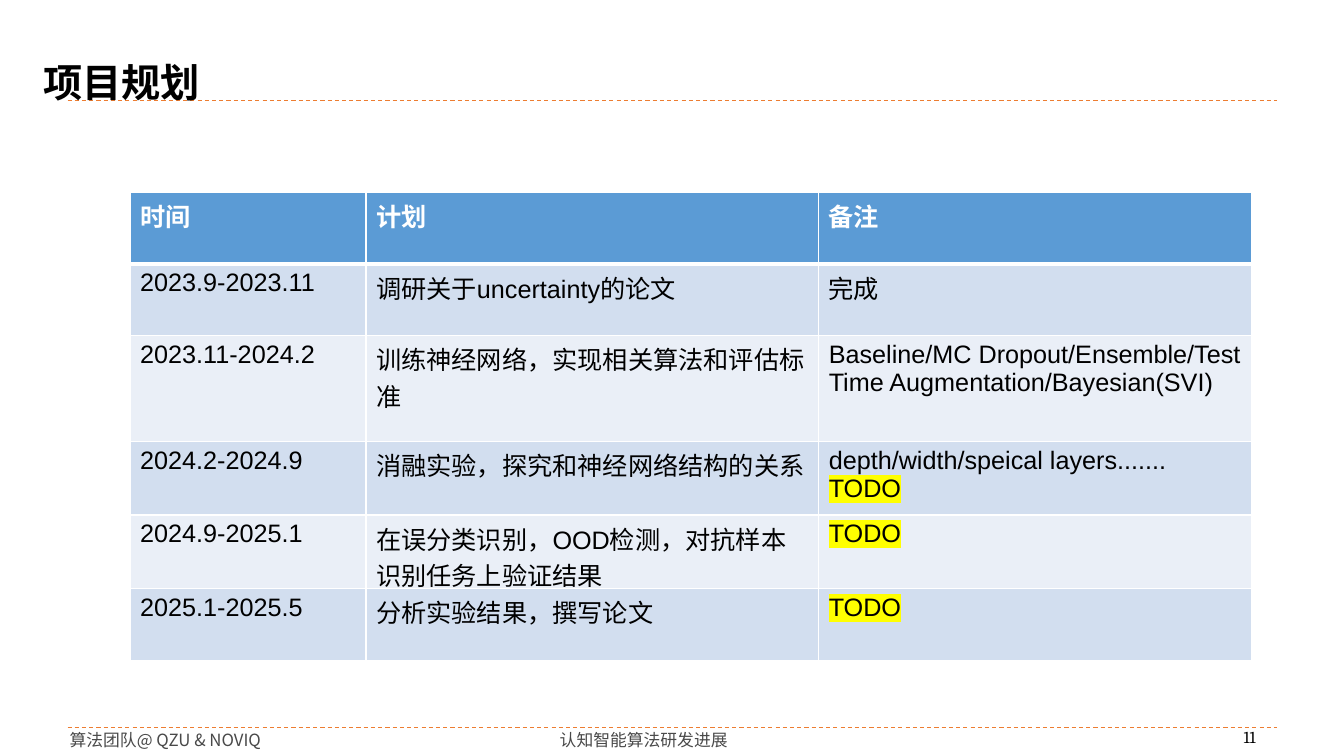
from dataclasses import dataclass

import lxml.etree
import pptx
import pptx.dml.color
import pptx.enum.dml
import pptx.enum.shapes
import pptx.enum.text
import pptx.oxml.ns
import pptx.util
from pptx.util import Inches

CENTER = pptx.enum.text.PP_ALIGN.CENTER


@dataclass(frozen=True)
class Theme:
    """Colours, fonts and type sizes of the slide."""

    accent: str = "ED7D31"
    header: str = "5B9BD5"
    bands: tuple[str, str] = ("D2DEEF", "EAEFF7")
    white: str = "FFFFFF"
    black: str = "000000"
    grey: str = "494949"
    highlight: str = "FFFF00"
    latin: str = "Arial"
    chinese: str = "Noto Sans CJK SC"
    number: str = "Cambria"
    title_size: int = 28
    table_size: int = 18
    footer_size: int = 12


THEME = Theme()


@dataclass(frozen=True)
class Label:
    """A text box with its place and format."""

    text: str
    box: tuple[float, float, float, float]
    size: int = THEME.footer_size
    color: str = THEME.grey
    font: str = THEME.chinese
    bold: bool = False
    centered: bool = False
    wrap: bool = True
    inset: tuple[float, float] = (0, 0)


@dataclass(frozen=True)
class PlanRow:
    """One row of the plan table."""

    period: str
    plan: str
    remark: str
    height: float


LABELS = (
    Label("11", (12.16, 7.21, 0.47, 0.2), color=THEME.black, font=THEME.number, centered=True),
    Label("认知智能算法研发进展", (3.33, 7.24, 6.11, 0.2), centered=True),
    Label("算法团队@ QZU & NOVIQ", (0.69, 7.24, 2.01, 0.2), wrap=False),
    Label("项目规划", (0.33, 0.53, 1.76, 0.57), THEME.title_size, THEME.black,
          bold=True, wrap=False, inset=(0.1, 0.05)),
)
RULE_HEIGHTS = (1, 7.22)
COLUMN_WIDTHS = (2.34, 4.49, 4.29)
ROWS = (
    PlanRow("时间", "计划", "备注", 0.71),
    PlanRow("2023.9-2023.11", "调研关于uncertainty的论文", "完成", 0.71),
    PlanRow("2023.11-2024.2", "训练神经网络，实现相关算法和评估标准",
            "Baseline/MC Dropout/Ensemble/Test Time Augmentation/Bayesian(SVI)", 1.05),
    PlanRow("2024.2-2024.9", "消融实验，探究和神经网络结构的关系",
            "depth/width/speical layers.......\nTODO", 0.73),
    PlanRow("2024.9-2025.1", "在误分类识别，OOD检测，对抗样本识别任务上验证结果", "TODO", 0.73),
    PlanRow("2025.1-2025.5", "分析实验结果，撰写论文", "TODO", 0.71),
)


def rgb(color: str) -> pptx.dml.color.RGBColor:
    """Turn a hexadecimal string into a colour."""
    return pptx.dml.color.RGBColor.from_string(color)


def add_element(parent, tag: str, **attributes: str):
    """Append a DrawingML element to a parent."""
    return lxml.etree.SubElement(parent, pptx.oxml.ns.qn(tag), attributes)


def write_text(frame, text: str, *, size: int, color: str, font: str, bold: bool = False,
               centered: bool = False, marked: str = "") -> None:
    """Write lines into a text frame, highlighting lines equal to the marked word."""
    for index, line in enumerate(text.split("\n")):
        paragraph = frame.add_paragraph() if index else frame.paragraphs[0]
        if centered:
            paragraph.alignment = CENTER
        run = paragraph.add_run()
        run.text = line
        run.font.size = pptx.util.Pt(size)
        run.font.bold = bold
        run.font.color.rgb = rgb(color)
        properties = run.font._element
        if line == marked:
            highlight = add_element(properties, "a:highlight")
            add_element(highlight, "a:srgbClr", val=THEME.highlight)
        add_element(properties, "a:latin", typeface=font)
        add_element(properties, "a:ea", typeface=THEME.chinese)


def add_label(slide, label: Label) -> None:
    """Draw a text box."""
    frame = slide.shapes.add_textbox(*map(Inches, label.box)).text_frame
    frame.word_wrap = label.wrap
    frame.auto_size = pptx.enum.text.MSO_AUTO_SIZE.SHAPE_TO_FIT_TEXT
    frame.margin_left = frame.margin_right = Inches(label.inset[0])
    frame.margin_top = frame.margin_bottom = Inches(label.inset[1])
    write_text(frame, label.text, size=label.size, color=label.color, font=label.font,
               bold=label.bold, centered=label.centered)


def add_rule(slide, top: float) -> None:
    """Draw a dashed line across the slide."""
    rule = slide.shapes.add_connector(
        pptx.enum.shapes.MSO_CONNECTOR.STRAIGHT,
        Inches(0.67), Inches(top), Inches(12.67), Inches(top))
    rule.line.color.rgb = rgb(THEME.accent)
    rule.line.width = pptx.util.Pt(0.75)
    rule.line.dash_style = pptx.enum.dml.MSO_LINE.DASH
    add_element(rule._element.spPr, "a:effectLst")


def style_cell(cell, row: int) -> None:
    """Give a cell its white borders and band fill."""
    properties = cell._tc.get_or_add_tcPr()
    widths = {"L": 1, "R": 1, "T": 3 if row == 1 else 1, "B": 3 if row == 0 else 1}
    for side, width in widths.items():
        border = add_element(properties, f"a:ln{side}", w=str(pptx.util.Pt(width)))
        add_element(add_element(border, "a:solidFill"), "a:srgbClr", val=THEME.white)
    cell.fill.solid()
    cell.fill.fore_color.rgb = rgb(THEME.bands[(row - 1) % 2] if row else THEME.header)


def add_plan_table(slide) -> None:
    """Draw the plan table."""
    height = sum(row.height for row in ROWS)
    table = slide.shapes.add_table(
        len(ROWS), len(COLUMN_WIDTHS), Inches(1.29), Inches(1.91),
        Inches(sum(COLUMN_WIDTHS)), Inches(height)).table
    for column, width in zip(table.columns, COLUMN_WIDTHS):
        column.width = Inches(width)
    for index, row in enumerate(ROWS):
        table.rows[index].height = Inches(row.height)
        for column, text in enumerate((row.period, row.plan, row.remark)):
            cell = table.cell(index, column)
            style_cell(cell, index)
            write_text(cell.text_frame, text, size=THEME.table_size,
                       color=THEME.black if index else THEME.white,
                       font=THEME.latin, bold=index == 0, marked="TODO")


def main() -> None:
    """Build and save the slide."""
    presentation = pptx.Presentation()
    presentation.slide_width = Inches(13.33)
    presentation.slide_height = Inches(7.5)
    slide = presentation.slides.add_slide(presentation.slide_layouts[6])
    for top in RULE_HEIGHTS:
        add_rule(slide, top)
    for label in LABELS:
        add_label(slide, label)
    add_plan_table(slide)
    presentation.save("out.pptx")


if __name__ == "__main__":
    main()
